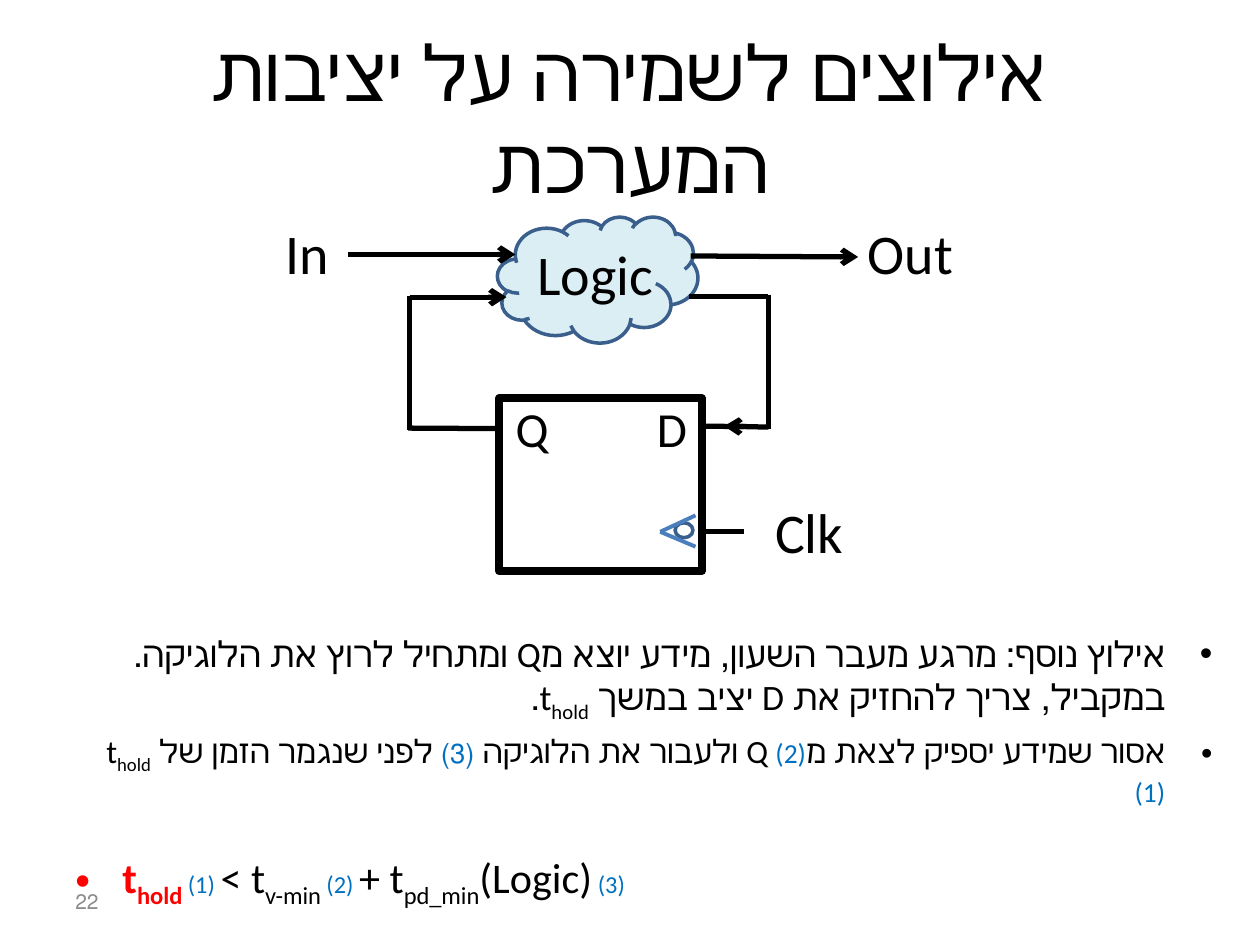
from lxml.etree import SubElement
from pptx import Presentation
from pptx.dml.color import RGBColor
from pptx.enum.shapes import MSO_CONNECTOR, MSO_SHAPE
from pptx.enum.text import MSO_ANCHOR, PP_ALIGN
from pptx.oxml.ns import qn
from pptx.util import Cm, Pt

COLORS = {"black": "000000", "page": "8C8C8C", "step": "0070C0", "hold": "FF0000",
          "clock": "4B7EBC", "edge": "3A5F8C", "cloud": "DBEEF4"}
RIGHT, LEFT, CENTER = PP_ALIGN.RIGHT, PP_ALIGN.LEFT, PP_ALIGN.CENTER

prs = Presentation()
prs.slide_width, prs.slide_height = Cm(25.4), Cm(19.05)
slide = prs.slides.add_slide(prs.slide_layouts[6])


def add_label(text, box, size, align, color="black", anchor=MSO_ANCHOR.TOP):
    frame = slide.shapes.add_textbox(*map(Cm, box)).text_frame
    frame.word_wrap = True
    frame.vertical_anchor = anchor
    line = frame.paragraphs[0]
    line.text = text
    line.alignment = align
    line._p.get_or_add_pPr().set("rtl", "1")
    line.font.name, line.font.size = "Calibri", Pt(size)
    line.font.color.rgb = RGBColor.from_string(COLORS[color])


def add_wire(start, end, arrow=False, color="black", width=3):
    wire = slide.shapes.add_connector(MSO_CONNECTOR.STRAIGHT, *map(Cm, start + end))
    wire.line.color.rgb = RGBColor.from_string(COLORS[color])
    wire.line.width = Pt(width)
    if arrow:
        SubElement(wire.line._get_or_add_ln(), qn("a:tailEnd"), type="arrow")
    SubElement(wire._element.spPr, qn("a:effectLst"))


# Title and page number
add_label("אילוצים לשמירה על יציבות המערכת", (1.27, 0.76, 22.86, 3.18), 44, CENTER,
          anchor=MSO_ANCHOR.MIDDLE)
add_label("22", (1.27, 17.65, 5.92, 1.02), 12, LEFT, "page", MSO_ANCHOR.MIDDLE)

# Flip-flop body, clock bubble and logic cloud
for preset, box, fill, edge, width in [
    (MSO_SHAPE.RECTANGLE, (10.06, 8.03, 4.09, 3.48), None, "black", 4.5),
    (MSO_SHAPE.OVAL, (13.61, 10.54, 0.36, 0.3), None, "edge", 2),
    (MSO_SHAPE.CLOUD, (10.03, 4.37, 4.04, 2.54), "cloud", "edge", 2),
]:
    part = slide.shapes.add_shape(preset, *map(Cm, box))
    part.shadow.inherit = False
    if fill:
        part.fill.solid()
        part.fill.fore_color.rgb = RGBColor.from_string(COLORS[fill])
    else:
        part.fill.background()
    part.line.color.rgb = RGBColor.from_string(COLORS[edge])
    part.line.width = Pt(width)

# Clock triangle
for corner in [(14.02, 11.02), (14.02, 10.39)]:
    add_wire((13.31, 10.72), corner, color="clock", width=2.25)

# Signal wires: input, output, clock, then the two feedback paths
for start, end, arrow in [
    ((7.01, 5.13), (10.39, 5.13), True),
    ((13.92, 5.16), (17.3, 5.18), True),
    ((14.1, 10.72), (14.99, 10.72), False),
    ((13.89, 5.97), (15.49, 5.97), False),
    ((15.49, 5.94), (15.49, 8.64), False),
    ((15.49, 8.61), (14.6, 8.59), True),
    ((15.01, 8.6), (14.15, 8.59), False),
    ((10.06, 8.64), (8.23, 8.63), False),
    ((8.26, 8.66), (8.26, 5.97), False),
    ((8.26, 5.99), (10.21, 5.99), True),
]:
    add_wire(start, end, arrow)

# Signal names
for name, box, size, align in [
    ("Q", (10.24, 7.9, 1.07, 1.45), 28, RIGHT),
    ("D", (12.5, 7.9, 1.6, 1.45), 28, RIGHT),
    ("Logic", (9.91, 4.7, 3.51, 1.63), 32, RIGHT),
    ("Clk", (14.3, 9.91, 2.95, 1.63), 32, RIGHT),
    ("In", (5.11, 4.29, 1.78, 1.63), 32, RIGHT),
    ("Out", (16.89, 4.29, 2.92, 1.63), 32, CENTER),
]:
    add_label(name, box, size, align)

# Constraints: (rtl, space before, runs of text, size, color, subscript)
constraints = [
    (True, 0, [
        ("אילוץ נוסף: מרגע מעבר השעון, מידע יוצא מQ ומתחיל לרוץ את הלוגיקה. "
         "במקביל, צריך להחזיק את D יציב במשך t", 20.4, "black", False),
        ("hold", 20.4, "black", True),
        (".", 20.4, "black", False)]),
    (True, 4, [
        ("אסור שמידע יספיק לצאת מQ ", 18.5, "black", False),
        ("(2)", 15.7, "step", False),
        (" ולעבור את הלוגיקה ", 18.5, "black", False),
        ("(3)", 15.7, "step", False),
        (" לפני שנגמר הזמן של t", 18.5, "black", False),
        ("hold ", 18.5, "black", True),
        ("(1)", 15.7, "step", False)]),
    (False, 25, [
        ("t", 24.1, "hold", False),
        ("hold ", 24.1, "hold", True),
        ("(1) ", 13.9, "step", False),
        ("< t", 24.1, "black", False),
        ("v-min ", 24.1, "black", True),
        ("(2) ", 13.9, "step", False),
        ("+ t", 24.1, "black", False),
        ("pd_min", 24.1, "black", True),
        ("(Logic)", 24.1, "black", False),
        (" (3)", 13.9, "step", False)]),
]
body = slide.shapes.add_textbox(Cm(1.27), Cm(12.62), Cm(23.42), Cm(5.8)).text_frame
body.word_wrap = True
for index, (rtl, space, pieces) in enumerate(constraints):
    item = body.add_paragraph() if index else body.paragraphs[0]
    item.alignment = RIGHT if rtl else LEFT
    item.space_before = Pt(space)
    props = item._p.get_or_add_pPr()
    props.set("marL", str(Cm(0.95)))
    props.set("indent", str(Cm(-0.95)))
    props.set("rtl", "1" if rtl else "0")
    SubElement(props, qn("a:buFont"), typeface="Arial")
    SubElement(props, qn("a:buChar"), char="•")
    item.font.name = "Calibri"
    for text, size, color, subscript in pieces:
        piece = item.add_run()
        piece.text = text
        piece.font.size = Pt(size)
        piece.font.color.rgb = RGBColor.from_string(COLORS[color])
        if color == "hold":
            piece.font.bold = True
        if subscript:
            piece.font._element.set("baseline", "-25000")

prs.save("out.pptx")
